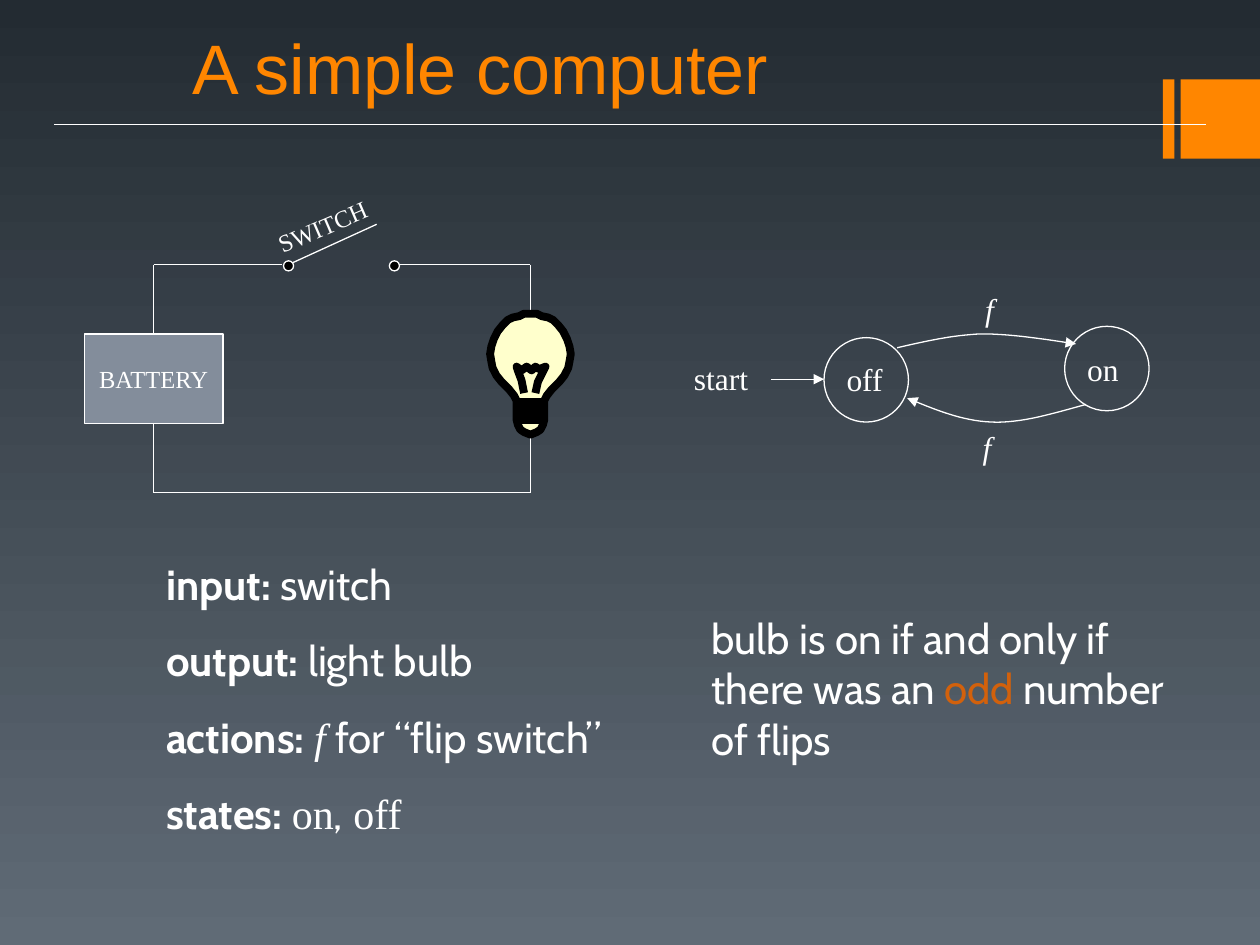
from pptx import Presentation
from pptx.dml.color import RGBColor
from pptx.enum.shapes import MSO_CONNECTOR, MSO_SHAPE
from pptx.enum.text import MSO_ANCHOR, PP_ALIGN
from pptx.oxml.ns import qn
from pptx.util import Inches, Pt
from lxml.etree import SubElement

WHITE = RGBColor(0xFF, 0xFF, 0xFF)
BLACK = RGBColor(0, 0, 0)
ORANGE = RGBColor(0xFF, 0x86, 0x00)
RUST = RGBColor(0xD2, 0x61, 0x0C)
STEEL = RGBColor(0x83, 0x8D, 0x9B)
CREAM = RGBColor(0xFF, 0xFF, 0xCC)
DARK = RGBColor(0x23, 0x2B, 0x32)
SLATE = RGBColor(0x60, 0x6B, 0x76)

SERIF, SANS, HEAD = "Times New Roman", "Cabin", "Arial"

LEFT, MID, TOP, BASE = 1.22, 4.21, 2.1, 3.91  # wires of the circuit

# Right half of the bulb: distance from its axis, height on the slide
GLASS = [
    (0, 2.49), (0.05, 2.49), (0.09, 2.51), (0.14, 2.52), (0.18, 2.54),
    (0.22, 2.58), (0.26, 2.63), (0.29, 2.69), (0.31, 2.75), (0.32, 2.81),
    (0.31, 2.87), (0.3, 2.92), (0.27, 2.98), (0.23, 3.03), (0.17, 3.09),
    (0.13, 3.14), (0.11, 3.18), (0.11, 3.33), (0.1, 3.37), (0.08, 3.41),
    (0.05, 3.43), (0, 3.45),
]
WIRE = [
    (4.16, 3.12), (4.14, 3.02), (4.11, 2.94), (4.1, 2.91), (4.14, 2.94),
    (4.18, 2.91), (4.22, 2.94), (4.25, 2.91), (4.28, 2.93), (4.33, 2.91),
    (4.27, 3.03), (4.25, 3.12),
]
THREAD = [(4.1, 3.19), (4.32, 3.19), (4.32, 3.24), (4.1, 3.24),
          (4.1, 3.29), (4.32, 3.29), (4.32, 3.33), (4.1, 3.33)]


def paint(shape, fill, line, width=0.75):
    shape.shadow.inherit = False
    if fill is None:
        shape.fill.background()
    else:
        shape.fill.solid()
        shape.fill.fore_color.rgb = fill
    if line is None:
        shape.line.fill.background()
    else:
        shape.line.color.rgb = line
        shape.line.width = Pt(width)


def add_shape(slide, kind, x, y, w, h, fill=None, line=WHITE):
    shape = slide.shapes.add_shape(kind, Inches(x), Inches(y), Inches(w), Inches(h))
    paint(shape, fill, line)
    return shape


def add_arrow(shape, end):
    """Put a triangle at "headEnd" (start) or "tailEnd" (finish)."""
    SubElement(shape.line._get_or_add_ln(), qn("a:" + end), type="triangle")


def add_line(slide, x1, y1, x2, y2):
    line = slide.shapes.add_connector(
        MSO_CONNECTOR.STRAIGHT, Inches(x1), Inches(y1), Inches(x2), Inches(y2))
    line.line.color.rgb = WHITE
    line.line.width = Pt(0.75)
    SubElement(line._element.spPr, qn("a:effectLst"))
    return line


def add_path(slide, points, close=False, fill=None, line=WHITE, width=0.75):
    spots = [(Inches(x), Inches(y)) for x, y in points]
    pen = slide.shapes.build_freeform(*spots[0])
    pen.add_line_segments(spots[1:], close=close)
    shape = pen.convert_to_shape()
    paint(shape, fill, line, width)
    return shape


def bezier(a, b, c, d, steps=16):
    """Points after a on the cubic curve from a to d."""
    curve = []
    for i in range(1, steps + 1):
        t = i / steps
        u = 1 - t
        curve.append(tuple(
            u**3 * p + 3 * u * u * t * q + 3 * u * t * t * r + t**3 * s
            for p, q, r, s in zip(a, b, c, d)))
    return curve


def add_curve(slide, knots, end):
    points = [knots[0]]
    for i in range(0, len(knots) - 1, 3):
        points += bezier(*knots[i:i + 4])
    add_arrow(add_path(slide, points), end)


def style(run, size, font, color=WHITE, bold=False, italic=False):
    run.font.size = Pt(size)
    run.font.name = font
    run.font.color.rgb = color
    run.font.bold = bold
    run.font.italic = italic


def add_text(slide, x, y, w, h, text, size=18, font=SERIF, color=WHITE, italic=False):
    box = slide.shapes.add_textbox(Inches(x), Inches(y), Inches(w), Inches(h))
    frame = box.text_frame
    frame.word_wrap = False
    frame.text = text
    style(frame.paragraphs[0].runs[0], size, font, color, italic=italic)
    return box


def add_notes(slide, x, y, w, h, rows):
    """Each row is a list of runs: text, then the options for style."""
    frame = slide.shapes.add_textbox(
        Inches(x), Inches(y), Inches(w), Inches(h)).text_frame
    frame.word_wrap = True
    for i, row in enumerate(rows):
        para = frame.add_paragraph() if i else frame.paragraphs[0]
        para.space_before = Pt(15 if i else 0)
        for text, look in row:
            run = para.add_run()
            run.text = text
            style(run, 24, **{"font": SANS, **look})


def add_frame(slide):
    fill = slide.background.fill
    fill.gradient()
    fill.gradient_angle = 270
    for stop, color in zip(fill.gradient_stops, (DARK, SLATE)):
        stop.color.rgb = color
    for x, w in ((9.23, 0.09), (9.37, 0.63)):
        add_shape(slide, MSO_SHAPE.RECTANGLE, x, 0.63, w, 0.63, ORANGE, None)
    add_line(slide, 0.43, 0.99, 9.57, 0.99)
    title = add_text(slide, 1.43, -0.02, 4.93, 0.93, "A simple computer", 40, HEAD, ORANGE)
    title.text_frame.word_wrap = True
    title.text_frame.vertical_anchor = MSO_ANCHOR.BOTTOM


def add_circuit(slide):
    cell = add_shape(slide, MSO_SHAPE.RECTANGLE, 0.67, 2.65, 1.1, 0.71, STEEL)
    frame = cell.text_frame
    frame.word_wrap = False
    frame.vertical_anchor = MSO_ANCHOR.MIDDLE
    frame.text = "BATTERY"
    frame.paragraphs[0].alignment = PP_ALIGN.CENTER
    style(frame.paragraphs[0].runs[0], 14, SERIF)

    add_line(slide, LEFT, TOP, LEFT, 2.65).end_connect(cell, 0)
    add_line(slide, LEFT, 3.36, LEFT, BASE).begin_connect(cell, 2)
    for ends in ((LEFT, TOP, 2.24, TOP), (3.11, TOP, MID, TOP),
                 (LEFT, BASE, MID, BASE), (MID, TOP, MID, BASE),
                 (2.29, TOP, 2.99, 1.78)):
        add_line(slide, *ends)
    for x in (2.25, 3.09):
        add_shape(slide, MSO_SHAPE.OVAL, x, 2.07, 0.08, 0.08, BLACK)
    label = add_text(slide, 2.01, 1.63, 1.1, 0.34, "SWITCH", 14)
    label.text_frame.paragraphs[0].alignment = PP_ALIGN.CENTER
    label.rotation = -23.3

    glass = [(MID + dx, y) for dx, y in GLASS]
    glass += [(MID - dx, y) for dx, y in GLASS[-2:0:-1]]
    add_path(slide, glass, True, CREAM, BLACK, 4.5)
    for part in (WIRE, THREAD):
        add_path(slide, part, line=BLACK, width=4.5)


def add_states(slide):
    for x, y in ((6.54, 2.68), (8.45, 2.59)):
        add_shape(slide, MSO_SHAPE.OVAL, x, y, 0.67, 0.67)
    add_curve(slide, [(7.12, 2.76), (7.34, 2.71), (7.55, 2.66), (7.79, 2.65),
                      (8.02, 2.65), (8.28, 2.69), (8.54, 2.73)], "tailEnd")
    add_curve(slide, [(7.2, 3.16), (7.42, 3.25), (7.63, 3.34), (7.87, 3.35),
                      (8.11, 3.36), (8.36, 3.28), (8.62, 3.21)], "headEnd")
    add_arrow(add_line(slide, 6.12, 3.01, 6.54, 3.01), "tailEnd")
    for x, y, w, text in ((6.62, 2.81, 0.52, "off"), (8.53, 2.73, 0.5, "on"),
                          (5.41, 2.8, 0.74, "start"),
                          (7.72, 2.25, 0.28, "f"), (7.7, 3.35, 0.28, "f")):
        add_text(slide, x, y, w, 0.4, text, italic=text == "f")


def main():
    deck = Presentation()
    deck.slide_width, deck.slide_height = Inches(10), Inches(7.5)
    slide = deck.slides.add_slide(deck.slide_layouts[6])
    add_frame(slide)
    add_circuit(slide)
    add_states(slide)
    bold, serif = {"bold": True}, {"font": SERIF}
    add_notes(slide, 1.22, 4.38, 3.94, 2.73, [
        [("input:", bold), (" switch", {})],
        [("output:", bold), (" light bulb", {})],
        [("actions: ", bold), ("f", {"font": SERIF, "italic": True}),
         (" for “flip switch”", {})],
        [("states: ", bold), ("on", serif), (",", {}), (" off", serif)],
    ])
    add_notes(slide, 5.55, 4.81, 3.94, 1.3, [
        [("bulb is on if and only if there was an ", {}),
         ("odd", {"color": RUST}), (" number of flips", {})],
    ])
    deck.save("out.pptx")


if __name__ == "__main__":
    main()
